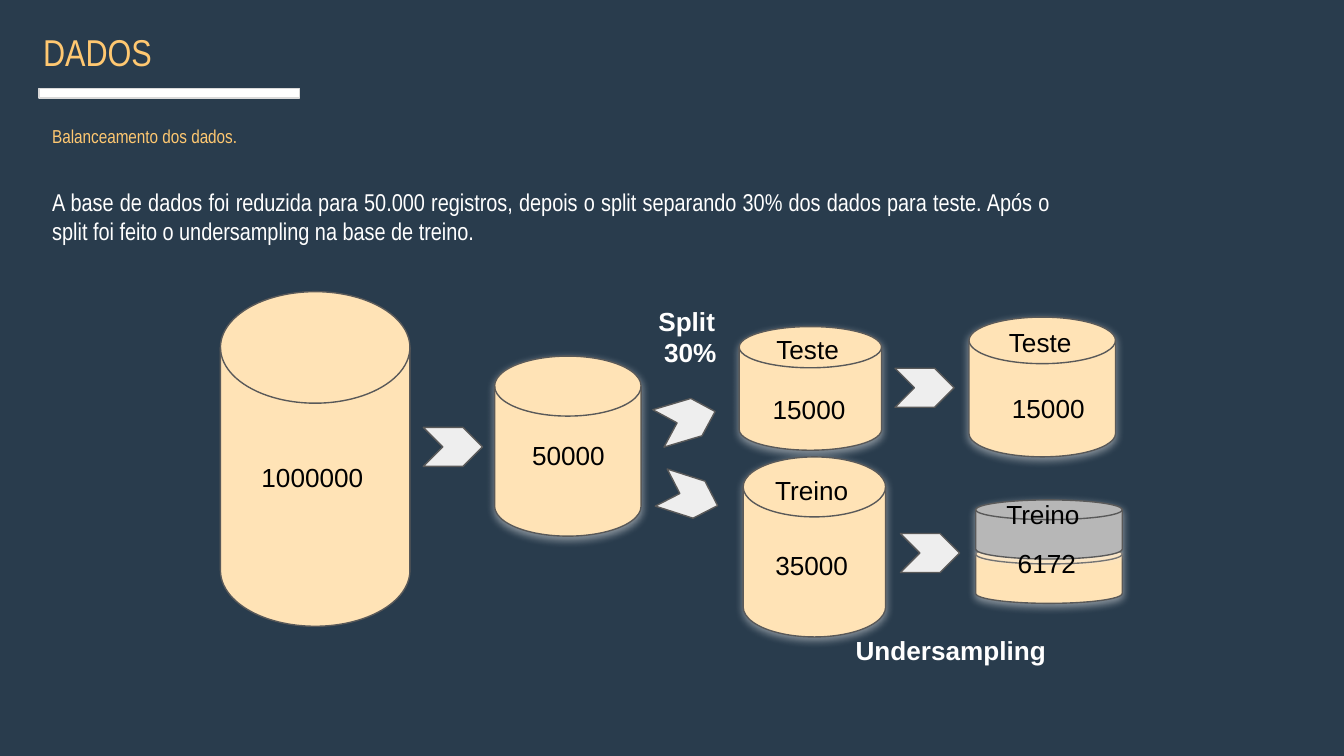
import lxml.etree
import pptx
import pptx.dml.color
import pptx.enum.shapes
import pptx.enum.text
import pptx.oxml.ns
import pptx.util

# The slide is a grid of 100 columns by 56.25 rows; a box is (left, top, width, height)
CELL = 0.1
COLUMNS, ROWS = 100, 56.25
LABEL_ROWS = 4.4

COLORS = {
    "background": "293C4D",
    "accent": "FFC871",
    "white": "FFFFFF",
    "rule": "D9D9D9",
    "data": "FFE3B6",
    "discarded": "B7B7B7",
    "arrow": "EEEEEE",
    "outline": "595959",
    "glow": "EFEFEF",
    "ink": "000000",
}
SHAPE = pptx.enum.shapes.MSO_SHAPE
ALIGN = pptx.enum.text.PP_ALIGN


def rgb(name):
    return pptx.dml.color.RGBColor.from_string(COLORS[name])


def grid(cells):
    return pptx.util.Inches(cells * CELL)


def inside(box, left, top, width, height):
    """Turn a box measured from the corner of another into a slide box."""
    return box[0] + left, box[1] + top, width, height


def write(frame, text, size, font, color, align=ALIGN.LEFT, bold=False, space=0):
    frame.word_wrap = True
    frame.auto_size = pptx.enum.text.MSO_AUTO_SIZE.NONE
    frame.vertical_anchor = pptx.enum.text.MSO_ANCHOR.TOP
    frame.margin_left = frame.margin_right = grid(1)
    frame.margin_top = frame.margin_bottom = grid(1)
    frame.text = text
    for paragraph in frame.paragraphs:
        paragraph.alignment = align
        paragraph.space_before = paragraph.space_after = pptx.util.Pt(space)
        paragraph.font.size = pptx.util.Pt(size)
        paragraph.font.name = font
        paragraph.font.bold = bold
        paragraph.font.color.rgb = rgb(color)


def add_text(shapes, box, *args, **style):
    write(shapes.add_textbox(*map(grid, box)).text_frame, *args, **style)


def add_label(shapes, box, text, color="ink", bold=False):
    add_text(shapes, box, text, 14, "Arial", color, align=ALIGN.CENTER, bold=bold)


def add_solid(shapes, kind, box, fill, line="outline"):
    solid = shapes.add_shape(kind, *map(grid, box))
    solid.shadow.inherit = False
    solid.fill.solid()
    solid.fill.fore_color.rgb = rgb(fill)
    solid.line.color.rgb = rgb(line)
    solid.line.width = pptx.util.Pt(0.75)
    return solid


def add_glow(solid):
    """Give a shape a soft, light shadow just below it."""
    qn = pptx.oxml.ns.qn
    effects = solid.element.spPr.find(qn("a:effectLst"))
    shadow = lxml.etree.SubElement(
        effects, qn("a:outerShdw"), blurRad=str(pptx.util.Pt(4.5)),
        dist=str(pptx.util.Pt(1.5)), dir="5400000", algn="bl", rotWithShape="0")
    tint = lxml.etree.SubElement(shadow, qn("a:srgbClr"), val=COLORS["glow"])
    lxml.etree.SubElement(tint, qn("a:alpha"), val="50000")


def add_cylinder(shapes, box, labels, fill="data", glow=True):
    """Draw one data set; each label is (text, left, top, width) from its corner."""
    cylinder = add_solid(shapes, SHAPE.FLOWCHART_MAGNETIC_DISK, box, fill)
    if glow:
        add_glow(cylinder)
    for text, left, top, width in labels:
        add_label(shapes, inside(box, left, top, width, LABEL_ROWS), text)


def draw_header(slide, box):
    # Title and the rule below it
    title = slide.shapes.title
    title.left, title.top, title.width, title.height = map(
        grid, inside(box, 0, 0, 65, 5.4))
    write(title.text_frame, "DADOS", 20, "Arial Narrow", "accent")
    add_solid(slide.shapes, SHAPE.RECTANGLE, inside(box, 0.7, 5.4, 19.4, 0.7),
              "white", "rule")
    # Subtitle
    add_text(slide.shapes, inside(box, 0.7, 7.1, 61.4, 3.7),
             "Balanceamento dos dados.", 10, "Arial Narrow", "accent")


def draw_explanation(slide, box):
    add_text(slide.shapes, box,
             "A base de dados foi reduzida para 50.000 registros, depois o split "
             "separando 30% dos dados para teste. Após o split foi feito o "
             "undersampling na base de treino.",
             13, "Arial Narrow", "white", align=ALIGN.JUSTIFY, space=12)


def draw_sampling_flow(slide, box):
    shapes = slide.shapes.add_group_shape().shapes

    # Full base, without glow
    add_cylinder(shapes, inside(box, 0, 0, 14.1, 24.9),
                 [("1000000", 0, 11.6, 13.7)], glow=False)

    # Reduced base, its two splits and the final sets
    data_sets = [
        ((20.4, 4.8, 10.9, 13.4), [("50000", 0.7, 5.2, 9.6)], "data"),
        ((38.6, 2.6, 10.6, 9.2),
         [("Teste", 0.3, -0.5, 9.6), ("15000", -0.1, 4, 10.6)], "data"),
        ((38.9, 12.3, 10.6, 13.4),
         [("Treino", 0.3, 0.3, 9.6), ("35000", -0.2, 5.9, 10.6)], "data"),
        ((55.7, 1.9, 10.9, 10.4),
         [("Teste", 0.5, -0.3, 9.6), ("15000", 0.6, 4.6, 10.6)], "data"),
        ((56.2, 18.8, 10.9, 4.4), [], "data"),
        ((56.2, 15.5, 10.9, 4.4),
         [("Treino", -0.2, -1.1, 10.4), ("6172", 0, 2.5, 10.6)], "discarded"),
    ]
    for place, labels, fill in data_sets:
        add_cylinder(shapes, inside(box, *place), labels, fill)

    # Chevrons between the steps: left, top, rotation
    for left, top, angle in [(15.1, 10.1, 0), (32.7, 13.8, 17.8),
                             (32.5, 8.1, -16.6), (50.2, 5.7, 0), (50.6, 18, 0)]:
        chevron = add_solid(shapes, SHAPE.CHEVRON,
                            inside(box, left, top, 4.4, 2.9), "arrow")
        chevron.rotation = angle

    # Names of the operations
    add_label(shapes, inside(box, 29.9, 0, 9.6, 6.7), "Split\n 30%", "white", True)
    add_label(shapes, inside(box, 45.6, 24.5, 17.5, LABEL_ROWS),
              "Undersampling", "white", True)


def main():
    deck = pptx.Presentation()
    deck.slide_width, deck.slide_height = grid(COLUMNS), grid(ROWS)
    slide = deck.slides.add_slide(deck.slide_layouts.get_by_name("Title Only"))
    slide.background.fill.solid()
    slide.background.fill.fore_color.rgb = rgb("background")

    draw_header(slide, (2.2, 1.2, 65, 10.8))
    draw_explanation(slide, (2.9, 12.9, 76.1, 6.4))
    draw_sampling_flow(slide, (16.4, 21.7, 67.1, 28.9))
    deck.save("out.pptx")


if __name__ == "__main__":
    main()
